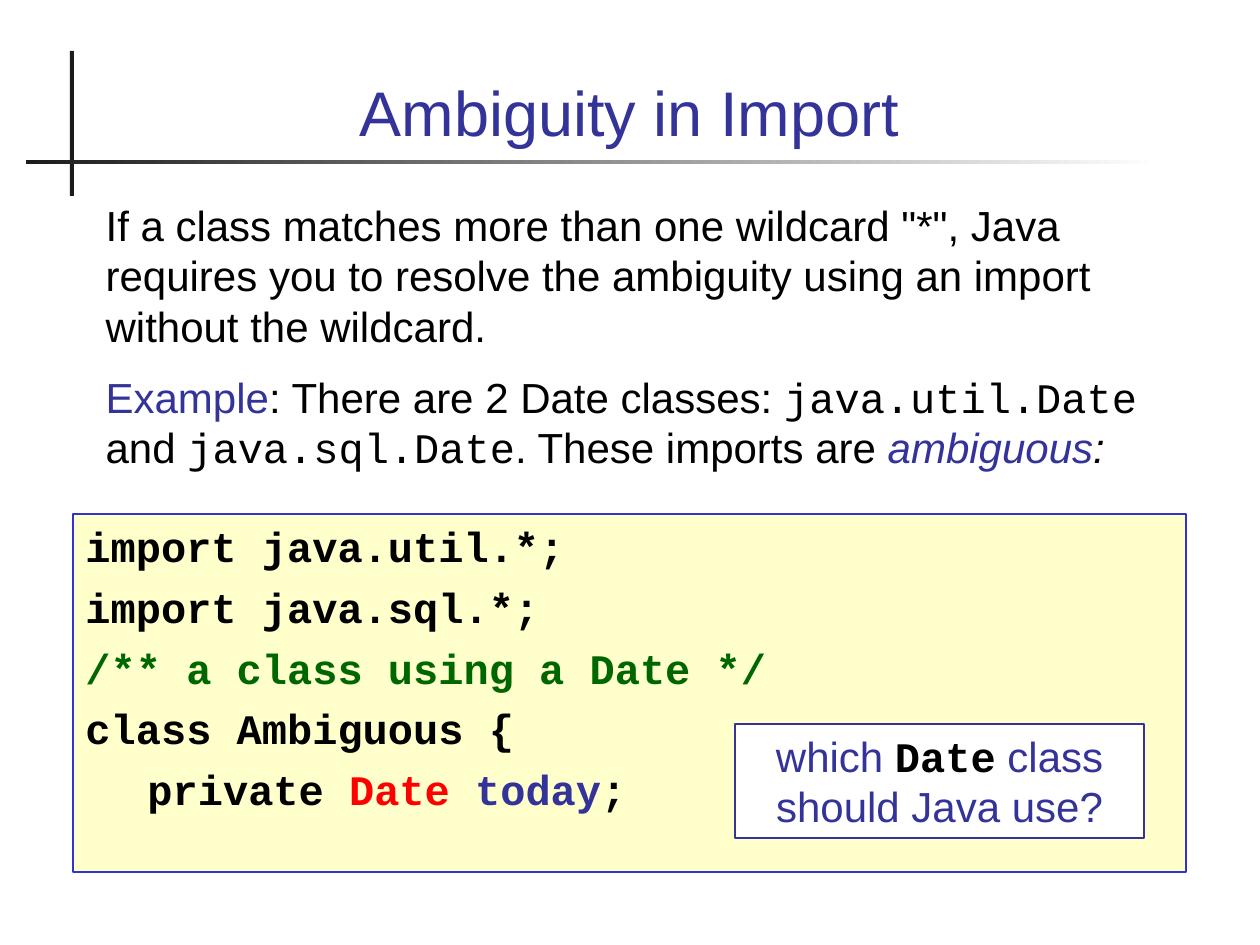
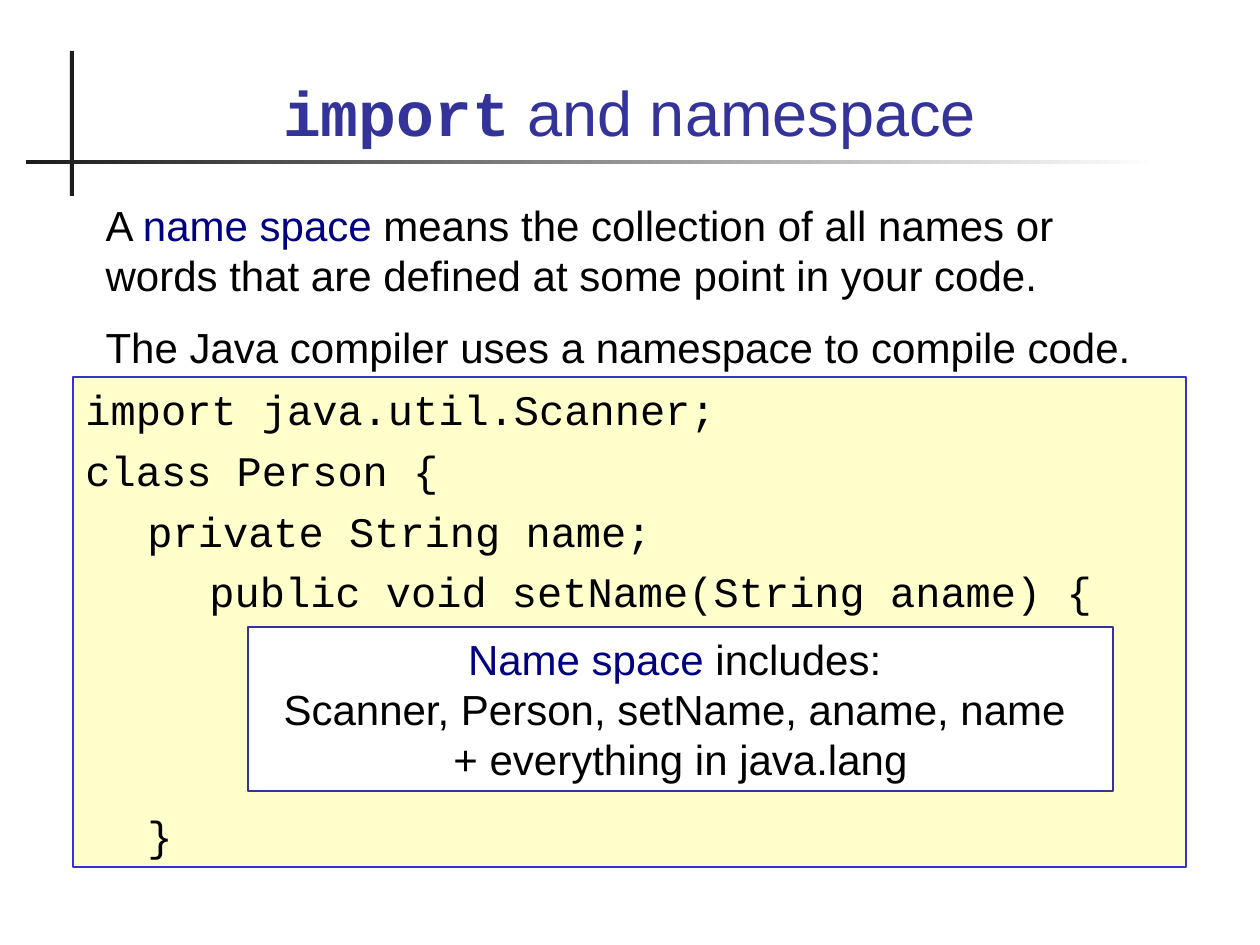
from lxml import etree
from pptx import Presentation
from pptx import util as u
from pptx.dml.color import RGBColor
from pptx.enum import shapes, text
from pptx.oxml import ns

# Shared look
EMU_PER_PX = 914400 / 126
SANS, MONO = "Arial", "Courier New"
INK, INDIGO, NAVY = "000000", "333399", "000080"
GREEN, RED = "006600", "FF0000"
RULE, WHITE, CODE_FILL, CODE_LINE = "1C1C1C", "FFFFFF", "FFFFCC", "3333CC"
TITLE_SIZE, TEXT_SIZE, LINE_PITCH = 36, 24, 28.8
BODY_GAP, CODE_GAP = 12, 6
TAB = 62


def px(length):
    return u.Emu(round(length * EMU_PER_PX))


def color(value):
    return RGBColor.from_string(value)


def place(shape, left, top, width, height):
    shape.left, shape.top = px(left), px(top)
    shape.width, shape.height = px(width), px(height)


def set_frame(frame, anchor):
    frame.word_wrap = True
    frame.auto_size = text.MSO_AUTO_SIZE.NONE
    frame.vertical_anchor = anchor


def add_runs(paragraph, runs, size=TEXT_SIZE):
    """Each run is (words, colour, font) plus optional "b" or "i"."""
    for words, run_color, font_name, *style in runs:
        run = paragraph.add_run()
        run.text = words
        run.font.name, run.font.size = font_name, u.Pt(size)
        run.font.color.rgb = color(run_color)
        run.font.bold, run.font.italic = "b" in style, "i" in style


def add_paragraph(frame, index, runs, gap=0, align=text.PP_ALIGN.LEFT, indent=0):
    paragraph = frame.add_paragraph() if index else frame.paragraphs[0]
    properties = paragraph._p.get_or_add_pPr()
    properties.set("marL", str(px(indent)))
    properties.set("indent", "0")
    etree.SubElement(properties, ns.qn("a:buNone"))
    paragraph.alignment = align
    paragraph.line_spacing = u.Pt(LINE_PITCH)
    paragraph.space_before = u.Pt(gap if index else 0)
    add_runs(paragraph, runs)


def add_rectangle(slide, box, fill=None, line=None):
    shape = slide.shapes.add_shape(shapes.MSO_SHAPE.RECTANGLE, *map(px, box))
    shape.shadow.inherit = False
    if fill:
        shape.fill.solid()
        shape.fill.fore_color.rgb = color(fill)
    if line:
        shape.line.color.rgb = color(line)
        shape.line.width = u.Pt(0.75)
    else:
        shape.line.fill.background()
    return shape


def add_title_rules(slide):
    add_rectangle(slide, (70, 51, 4, 145), RULE)
    fading_rule = add_rectangle(slide, (26, 160, 1133, 4))
    fading_rule.fill.gradient()
    fading_rule.fill.gradient_angle = 0
    for stop, stop_color in zip(fading_rule.fill.gradient_stops, (RULE, WHITE)):
        stop.color.rgb = color(stop_color)


def add_slide(presentation, title_runs, body_height, body_paragraphs):
    slide = presentation.slides.add_slide(presentation.slide_layouts[1])
    add_title_rules(slide)

    title = slide.shapes.title
    place(title, 84, 35, 1091, 120)
    set_frame(title.text_frame, text.MSO_ANCHOR.BOTTOM)
    heading = title.text_frame.paragraphs[0]
    heading.alignment = text.PP_ALIGN.CENTER
    add_runs(heading, title_runs, TITLE_SIZE)

    body = slide.placeholders[1]
    place(body, 93, 193, 1084, body_height)
    set_frame(body.text_frame, text.MSO_ANCHOR.TOP)
    for index, runs in enumerate(body_paragraphs):
        add_paragraph(body.text_frame, index, runs, BODY_GAP)
    return slide


def add_code(slide, top, height, lines):
    """Each line is (indent, runs, blank lines before it)."""
    box = add_rectangle(slide, (73, top, 1113, height), CODE_FILL, CODE_LINE)
    set_frame(box.text_frame, text.MSO_ANCHOR.TOP)
    for index, (indent, runs, skipped) in enumerate(lines):
        gap = CODE_GAP + skipped * (LINE_PITCH + CODE_GAP)
        add_paragraph(box.text_frame, index, runs, gap, indent=indent)


def add_callout(slide, box, lines):
    callout = add_rectangle(slide, box, WHITE, INDIGO)
    set_frame(callout.text_frame, text.MSO_ANCHOR.TOP)
    for index, runs in enumerate(lines):
        add_paragraph(callout.text_frame, index, runs, align=text.PP_ALIGN.CENTER)


def add_ambiguity_slide(presentation):
    slide = add_slide(presentation, [("Ambiguity in Import", INDIGO, SANS)], 333, [
        [('If a class matches more than one wildcard "*", Java requires you to '
          "resolve the ambiguity using an import without the wildcard.", INK, SANS)],
        [("Example", INDIGO, SANS),
         (": There are 2 Date classes: ", INK, SANS),
         ("java.util.Date", INK, MONO),
         (" and ", INK, SANS),
         ("java.sql.Date", INK, MONO),
         (". These imports are ", INK, SANS),
         ("ambiguous", INDIGO, SANS, "i"),
         (":", INK, SANS, "i")],
    ])
    add_code(slide, 514, 358, [
        (0, [("import java.util.*;", INK, MONO, "b")], 0),
        (0, [("import java.sql.*;", INK, MONO, "b")], 0),
        (0, [("/** a class using a Date */", GREEN, MONO, "b")], 0),
        (0, [("class Ambiguous {", INK, MONO, "b")], 0),
        (TAB, [("private ", INK, MONO, "b"),
               ("Date", RED, MONO, "b"),
               (" today", INDIGO, MONO, "b"),
               (";", INK, MONO, "b")], 0),
    ])
    add_callout(slide, (735, 724, 409, 114), [
        [("which ", INDIGO, SANS),
         ("Date", INK, MONO, "b"),
         (" class should Java use?", INDIGO, SANS)],
    ])


def add_namespace_slide(presentation):
    title_runs = [("import", INDIGO, MONO, "b"), (" and namespace", INDIGO, SANS)]
    slide = add_slide(presentation, title_runs, 217, [
        [("A ", INK, SANS),
         ("name space", NAVY, SANS),
         (" means the collection of all names or words that are defined "
          "at some point in your code.", INK, SANS)],
        [("The Java compiler uses a namespace to compile code.", INK, SANS)],
    ])
    add_code(slide, 377, 490, [
        (0, [("import java.util.Scanner;", INK, MONO)], 0),
        (0, [("class Person {", INK, MONO)], 0),
        (TAB, [("private String name;", INK, MONO)], 0),
        (2 * TAB, [("public void setName(String aname) {", INK, MONO)], 0),
        (TAB, [("}", INK, MONO)], 3),
    ])
    add_callout(slide, (248, 627, 865, 164), [
        [("Name space", NAVY, SANS), (" includes: ", INK, SANS)],
        [("Scanner, Person, setName, aname, name ", INK, SANS)],
        [("+ everything in java.lang", INK, SANS)],
    ])


def main():
    presentation = Presentation()
    presentation.slide_width, presentation.slide_height = px(1260), px(945)
    add_ambiguity_slide(presentation)
    add_namespace_slide(presentation)
    presentation.save("out.pptx")


if __name__ == "__main__":
    main()
